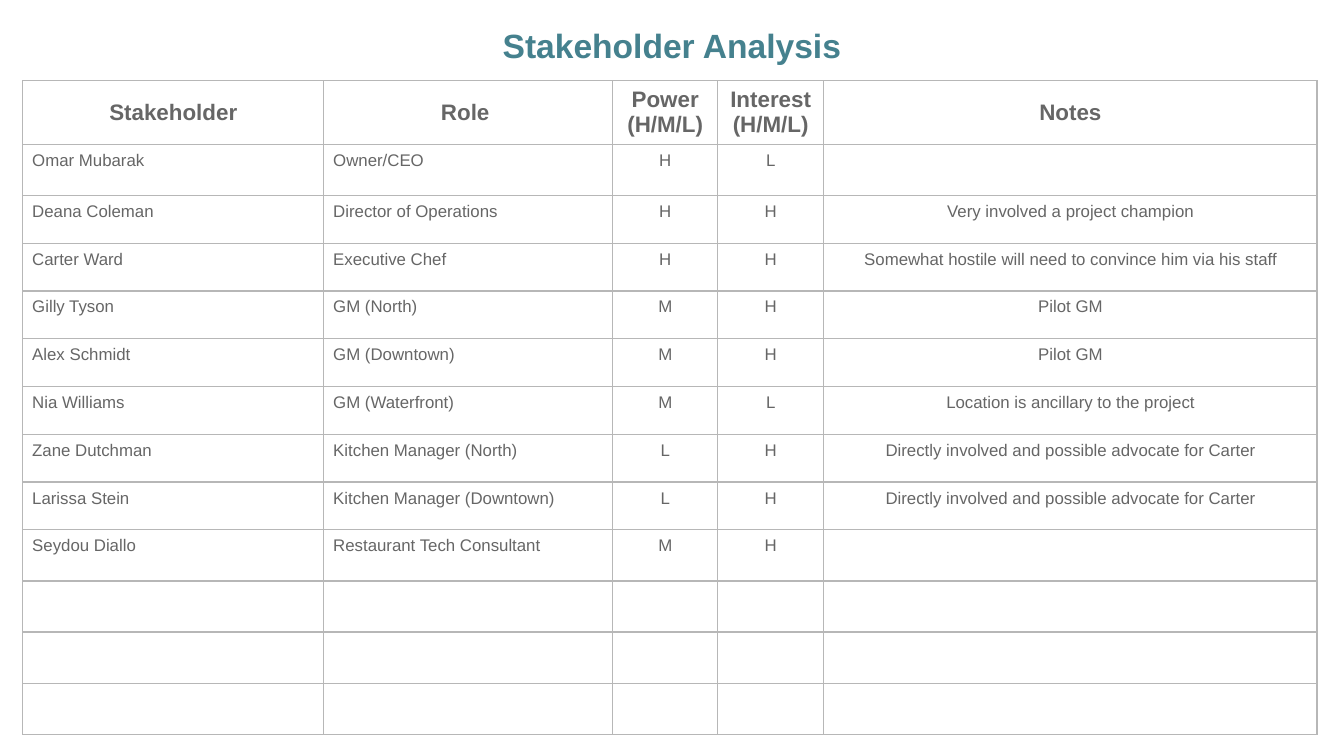
"""Build the stakeholder analysis slide with its title and table."""
from lxml import etree
from pptx import Presentation
from pptx.dml.color import RGBColor
from pptx.enum import text
from pptx.oxml import ns
from pptx.util import Inches, Pt

HUES = {"title": "45818E", "body": "666666", "rule": "B7B7B7", "page": "FFFFFF"}
WIDTHS = [2.24, 2.15, 0.78, 0.79, 3.67]
HEAD = ("Stakeholder", "Role ", "Power (H/M/L)", "Interest (H/M/L)", "Notes")
PEOPLE = [
    ("Omar Mubarak", "Owner/CEO", "H", "L", ""),
    ("Deana Coleman", "Director of Operations", "H", "H", "Very involved a project champion"),
    ("Carter Ward", "Executive Chef", "H", "H",
     "Somewhat hostile will need to convince him via his staff"),
    ("Gilly Tyson", "GM (North)", "M", "H", "Pilot GM"),
    ("Alex Schmidt", "GM (Downtown)", "M", "H", "Pilot GM"),
    ("Nia Williams", "GM (Waterfront)", "M", "L", "Location is ancillary to the project"),
    ("Zane Dutchman", "Kitchen Manager (North)", "L", "H",
     "Directly involved and possible advocate for Carter"),
    ("Larissa Stein", "Kitchen Manager (Downtown)", "L", "H",
     "Directly involved and possible advocate for Carter"),
    ("Seydou Diallo", "Restaurant Tech Consultant", "M", "H", ""),
]
SPARE = 3
ROWS = [HEAD] + PEOPLE + [("",) * len(HEAD)] * SPARE
TALL = 3.2 / 9


def style(para, size, hue, bold):
    for run in para.runs:
        run.font.name = "Arial"
        run.font.size = Pt(size)
        run.font.bold = bold
        run.font.color.rgb = RGBColor.from_string(HUES[hue])


def edge(cell):
    props = cell._tc.get_or_add_tcPr()
    for side in ("lnL", "lnR", "lnT", "lnB"):
        line = etree.SubElement(props, ns.qn("a:" + side), w=str(Pt(0.75)))
        fill = etree.SubElement(line, ns.qn("a:solidFill"))
        etree.SubElement(fill, ns.qn("a:srgbClr"), val=HUES["rule"])


deck = Presentation()
deck.slide_width, deck.slide_height = Inches(10), Inches(10 * 9 / 16)
slide = deck.slides.add_slide(deck.slide_layouts[6])
slide.background.fill.solid()
slide.background.fill.fore_color.rgb = RGBColor.from_string(HUES["page"])

grid = slide.shapes.add_table(len(ROWS), len(HEAD), Inches(0.17), Inches(0.6),
                              Inches(sum(WIDTHS)), Inches(4.6)).table
grid.first_row = True
grid.horz_banding = False
for col, width in zip(grid.columns, WIDTHS):
    col.width = Inches(width)

for r, row in enumerate(ROWS):
    head = r == 0
    grid.rows[r].height = Inches(0.28 if head else TALL)
    for c, words in enumerate(row):
        cell = grid.cell(r, c)
        cell.margin_left = cell.margin_right = Inches(0.07)
        cell.margin_top = cell.margin_bottom = Inches(0.05)
        edge(cell)
        cell.fill.background()
        para = cell.text_frame.paragraphs[0]
        if not words:
            last = etree.SubElement(para._p, ns.qn("a:endParaRPr"), sz="1800")
            etree.SubElement(last, ns.qn("a:latin"), typeface="Arial")
            continue
        para.text = words
        if head:
            cell.vertical_anchor = text.MSO_ANCHOR.MIDDLE
        if head or c > 1:
            para.alignment = text.PP_ALIGN.CENTER
        style(para, 12 if head else 9, "body", head)

title = slide.shapes.add_textbox(Inches(0.83), Inches(0.04), Inches(8.34), Inches(0.5))
frame = title.text_frame
frame.word_wrap = True
frame.margin_left = frame.margin_right = Inches(0.1)
frame.margin_top = frame.margin_bottom = Inches(0.1)
frame.text = "Stakeholder Analysis"
para = frame.paragraphs[0]
para.alignment = text.PP_ALIGN.CENTER
para.line_spacing = 1.15
style(para, 18, "title", True)

deck.save("out.pptx")
